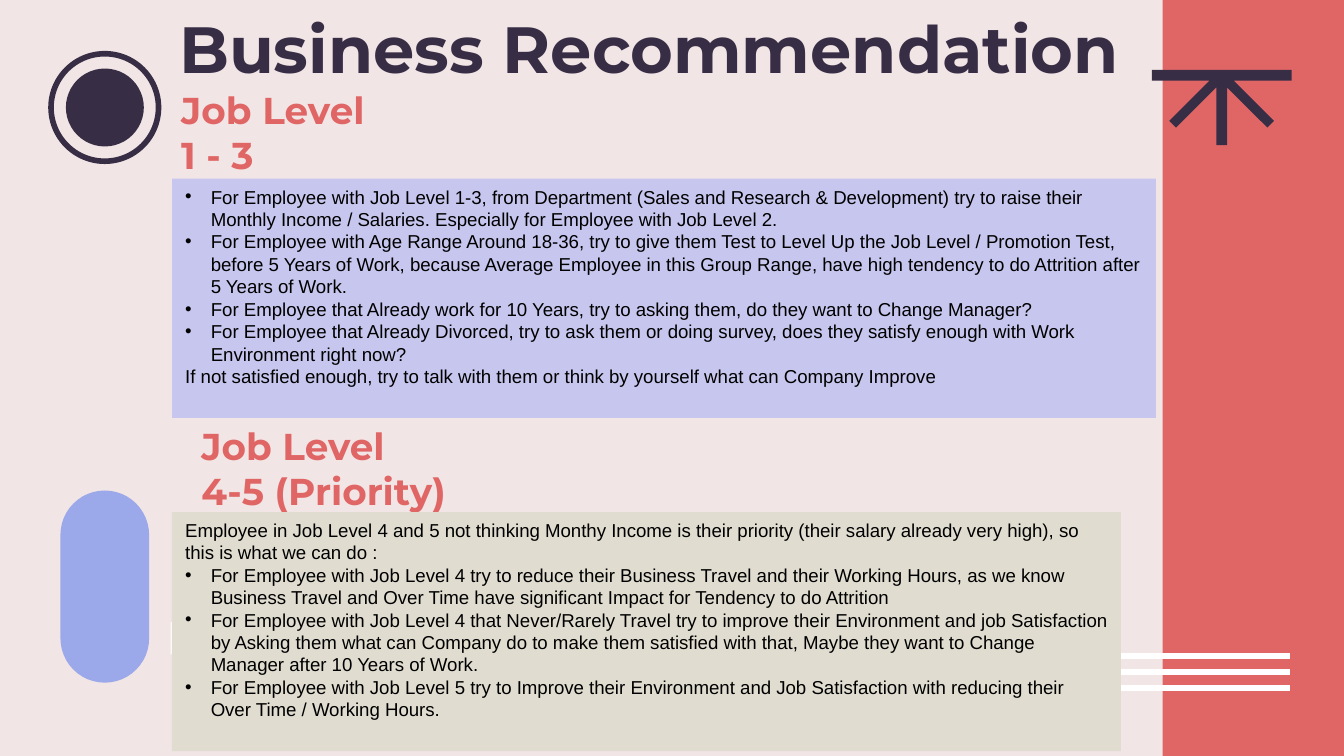
import pptx
import pptx.util
import pptx.dml.color
import pptx.enum.shapes
import pptx.enum.text
import lxml.etree
from pptx.oxml.ns import qn

Inches, Pt = pptx.util.Inches, pptx.util.Pt
SHAPE = pptx.enum.shapes.MSO_SHAPE
ANCHOR = pptx.enum.text.MSO_ANCHOR
ALIGN = pptx.enum.text.PP_ALIGN

# Content
TITLE = "Business Recommendation"
HEADINGS = [
    (["Job Level 1 - 3"], (1.25, 0.65, 1.72, 0.67)),
    (["Job Level", "4-5 (Priority)"], (1.4, 3.15, 2.67, 0.67)),
]
# Each panel: fill, box, then (is bullet, text)
PANELS = [
    ("C7C6EE", (1.28, 1.33, 7.32, 1.78), [
        (True, "For Employee with Job Level 1-3, from Department (Sales and Research & Development) try to raise their Monthly Income / Salaries. Especially for Employee with Job Level 2."),
        (True, "For Employee with Age Range Around 18-36, try to give them Test to Level Up the Job Level / Promotion Test, before 5 Years of Work, because Average Employee in this Group Range, have high tendency to do Attrition after 5 Years of Work."),
        (True, "For Employee that Already work for 10 Years, try to asking them, do they want to Change Manager?"),
        (True, "For Employee that Already Divorced, try to ask them or doing survey, does they satisfy enough with Work Environment right now?"),
        (False, "If not satisfied enough, try to talk with them or think by yourself what can Company Improve"),
    ]),
    ("E0DDD0", (1.28, 3.81, 7.06, 1.78), [
        (False, "Employee in Job Level 4 and 5 not thinking Monthy Income is their priority (their salary already very high), so this is what we can do :"),
        (True, "For Employee with Job Level 4 try to reduce their Business Travel and their Working Hours, as we know Business Travel and Over Time have significant Impact for Tendency to do Attrition"),
        (True, "For Employee with Job Level 4 that Never/Rarely Travel try to improve their Environment and job Satisfaction by Asking them what can Company do to make them satisfied with that, Maybe they want to Change Manager after 10 Years of Work."),
        (True, "For Employee with Job Level 5 try to Improve their Environment and Job Satisfaction with reducing their Over Time / Working Hours."),
    ]),
]
DARK, CORAL, WHITE, BLUE = "372E46", "E06666", "FFFFFF", "9BA8E9"
STRIPE_STARTS = [8.04, 7.64, 7.26]
STAIRS = [(2.01, 5.37), (2.01, 4.63), (1.27, 4.63), (1.27, 4.87),
          (1.52, 4.87), (1.52, 5.12), (1.77, 5.12), (1.77, 5.37)]
# Right half of the branching mark, as offsets from its axis
MARK_AXIS = 9.09
MARK_HALF = [(0.04, 1.08), (0.04, 0.65), (0.34, 0.95), (0.39, 0.9),
             (0.09, 0.6), (0.52, 0.6), (0.52, 0.52)]

prs = pptx.Presentation()
prs.slide_width, prs.slide_height = Inches(10), Inches(10) * 9 // 16
slide = prs.slides.add_slide(prs.slide_layouts[5])


def color(hex_code):
    return pptx.dml.color.RGBColor.from_string(hex_code)


def inches(values):
    return [Inches(v) for v in values]


def paint(shape, fill=None, line=None):
    shape.shadow.inherit = False
    if fill:
        shape.fill.solid()
        shape.fill.fore_color.rgb = color(fill)
    else:
        shape.fill.background()
    if line:
        shape.line.color.rgb = color(line)
        shape.line.width = Pt(3)
    else:
        shape.line.fill.background()


def add_preset(kind, box, fill=None, line=None):
    shape = slide.shapes.add_shape(kind, *inches(box))
    paint(shape, fill, line)
    return shape


def add_outline(points, fill):
    corners = [inches(point) for point in points]
    builder = slide.shapes.build_freeform(*corners[0])
    builder.add_line_segments(corners[1:], close=True)
    paint(builder.convert_to_shape(), fill)


def style(paragraph, text, size, font, hex_code, bold=False, align=ALIGN.LEFT):
    paragraph.text = text
    paragraph.alignment = align
    paragraph.font.size = Pt(size)
    paragraph.font.name = font
    paragraph.font.bold = bold
    paragraph.font.color.rgb = color(hex_code)


def set_frame(frame, anchor, margin=None):
    frame.word_wrap = True
    frame.auto_size = pptx.enum.text.MSO_AUTO_SIZE.NONE
    frame.vertical_anchor = anchor
    if margin:
        frame.margin_left = frame.margin_right = Inches(margin)
        frame.margin_top = frame.margin_bottom = Inches(margin)


def paragraphs(frame, count):
    return [frame.paragraphs[0]] + [frame.add_paragraph() for _ in range(count - 1)]


def add_bullet(paragraph):
    props = paragraph._p.get_or_add_pPr()
    props.set("marL", str(Inches(0.19)))
    props.set("indent", str(-Inches(0.19)))
    font = lxml.etree.Element(qn("a:buFont"), typeface="Arial")
    mark = lxml.etree.Element(qn("a:buChar"), char="•")
    position = props.index(props.find(qn("a:defRPr")))
    props.insert(position, font)
    props.insert(position + 1, mark)


# Background and decorations
slide.background.fill.solid()
slide.background.fill.fore_color.rgb = color("F2E5E5")
add_preset(SHAPE.OVAL, (0.38, 0.4, 0.8, 0.8), line=DARK)
add_outline(STAIRS, WHITE)
add_preset(SHAPE.OVAL, (0.49, 0.51, 0.58, 0.58), DARK)
pill = add_preset(SHAPE.ROUNDED_RECTANGLE, (0.45, 3.65, 0.66, 1.43), BLUE)
pill.adjustments[0] = 0.5
add_preset(SHAPE.RECTANGLE, (8.65, -0.02, 1.4, 5.69), CORAL)

# Title
title = slide.shapes.title
title.left, title.top, title.width, title.height = inches((1.11, 0.06, 7.32, 0.58))
set_frame(title.text_frame, ANCHOR.MIDDLE, 0.1)
style(title.text_frame.paragraphs[0], TITLE, 35, "Montserrat", DARK, True, ALIGN.RIGHT)
slide.shapes._spTree.append(title._element)

# Branching mark, mirrored about its axis
add_outline([(MARK_AXIS + x, y) for x, y in MARK_HALF]
            + [(MARK_AXIS - x, y) for x, y in reversed(MARK_HALF)], DARK)

# White stripes
for i, start in enumerate(STRIPE_STARTS):
    y = 4.88 + 0.12 * i
    stripe = slide.shapes.add_connector(
        pptx.enum.shapes.MSO_CONNECTOR.STRAIGHT, *inches((start, y, 9.6, y)))
    stripe.line.color.rgb = color(WHITE)
    stripe.line.width = Pt(3)
    lxml.etree.SubElement(stripe._element.spPr, qn("a:effectLst"))

# Section headings
for lines, box in HEADINGS:
    frame = slide.shapes.add_textbox(*inches(box)).text_frame
    set_frame(frame, ANCHOR.MIDDLE, 0.1)
    for paragraph, text in zip(paragraphs(frame, len(lines)), lines):
        style(paragraph, text, 20, "Montserrat", CORAL, True)

# Recommendation panels
for fill, box, items in PANELS:
    frame = add_preset(SHAPE.RECTANGLE, box, fill).text_frame
    set_frame(frame, ANCHOR.TOP)
    for paragraph, (bulleted, text) in zip(paragraphs(frame, len(items)), items):
        style(paragraph, text, 10, "Arial", "000000")
        if bulleted:
            add_bullet(paragraph)

prs.save("out.pptx")
